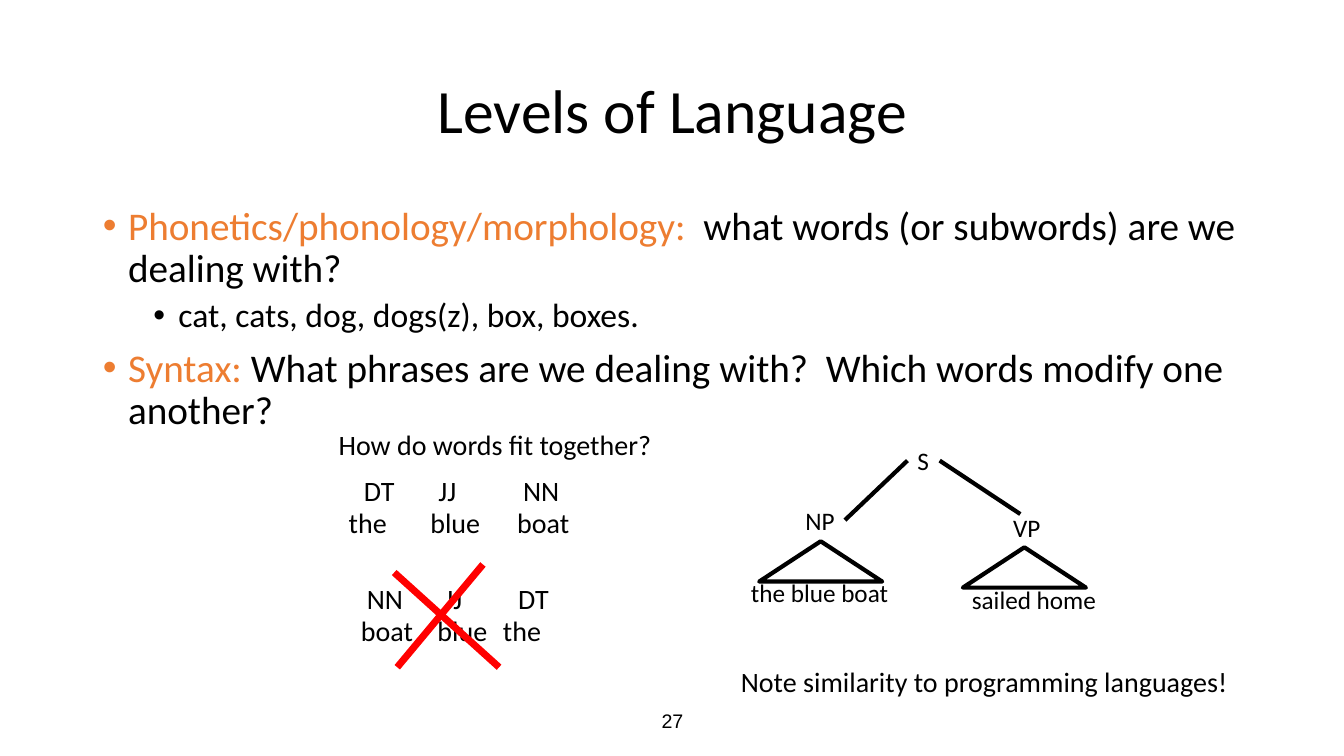
import pptx
import pptx.dml.color
import pptx.enum.shapes
import pptx.enum.text
import pptx.oxml
import pptx.oxml.ns
import pptx.util
from pptx.util import Inches

BLACK, ORANGE, RED = "000000", "ED7D31", "FF0000"
ALIGN = pptx.enum.text.PP_ALIGN
ANCHOR = pptx.enum.text.MSO_ANCHOR
AUTO_SIZE = pptx.enum.text.MSO_AUTO_SIZE


def colour(hex_string):
    return pptx.dml.color.RGBColor.from_string(hex_string)


class SlideBuilder:
    font = "Calibri"

    def __init__(self, slide):
        self.slide = slide
        self.shapes = slide.shapes

    def run(self, paragraph, text, size, hex_string=BLACK, font=None):
        run = paragraph.add_run()
        run.text = text
        run.font.name = font or self.font
        run.font.size = pptx.util.Pt(size)
        run.font.color.rgb = colour(hex_string)

    def place(self, shape, left, top, width, height):
        shape.left, shape.top = Inches(left), Inches(top)
        shape.width, shape.height = Inches(width), Inches(height)

    def title(self, text, *box):
        title = self.shapes.title
        self.place(title, *box)
        frame = title.text_frame
        frame.auto_size = AUTO_SIZE.NONE
        frame.vertical_anchor = ANCHOR.MIDDLE
        paragraph = frame.paragraphs[0]
        paragraph.alignment = ALIGN.CENTER
        paragraph.line_spacing = 0.9
        self.run(paragraph, text, 44)

    def bullets(self, items, *box):
        """Fill the body placeholder with (level, [(text, colour), ...]) items."""
        body = self.slide.placeholders[1]
        self.place(body, *box)
        frame = body.text_frame
        frame.auto_size = AUTO_SIZE.NONE
        frame.vertical_anchor = ANCHOR.TOP
        for index, (level, parts) in enumerate(items):
            paragraph = frame.add_paragraph() if index else frame.paragraphs[0]
            properties = paragraph._p.get_or_add_pPr()
            properties.set("marL", str(Inches(0.25 + 0.5 * level)))
            properties.set("indent", str(Inches(-0.25)))
            for tag, key, value in (("a:buFont", "typeface", "Arial"), ("a:buChar", "char", "•")):
                bullet = pptx.oxml.parse_xml(f"<{tag} {pptx.oxml.ns.nsdecls('a')}/>")
                bullet.set(key, value)
                properties.append(bullet)
            paragraph.level = level
            paragraph.alignment = ALIGN.LEFT
            paragraph.line_spacing = 0.9
            paragraph.space_before = pptx.util.Pt((5 if level else 10) if index else 0)
            for text, hex_string in parts:
                self.run(paragraph, text, 24 if level else 28, hex_string)

    def label(self, text, left, top, width, height=0.44, size=20):
        label = self.shapes.add_textbox(*map(Inches, (left, top, width, height)))
        frame = label.text_frame
        frame.word_wrap = False
        frame.auto_size = AUTO_SIZE.SHAPE_TO_FIT_TEXT
        self.run(frame.paragraphs[0], text, size)
        return label

    def page_number(self, text, *box):
        number = self.shapes.add_textbox(*map(Inches, box))
        number.text_frame.word_wrap = True
        number.text_frame.vertical_anchor = ANCHOR.MIDDLE
        paragraph = number.text_frame.paragraphs[0]
        paragraph.alignment = ALIGN.CENTER
        self.run(paragraph, text, 14, font="Arial")

    def line(self, x1, y1, x2, y2, hex_string=BLACK, width=3):
        line = self.shapes.add_connector(
            pptx.enum.shapes.MSO_CONNECTOR.STRAIGHT, *map(Inches, (x1, y1, x2, y2)))
        line.line.color.rgb = colour(hex_string)
        line.line.width = pptx.util.Pt(width)
        line._element.spPr.append(
            pptx.oxml.parse_xml(f"<a:effectLst {pptx.oxml.ns.nsdecls('a')}/>"))
        return line

    def triangle(self, left, top):
        triangle = self.shapes.add_shape(
            pptx.enum.shapes.MSO_SHAPE.ISOSCELES_TRIANGLE,
            *map(Inches, (left, top, 1.22, 0.4)))
        triangle.shadow.inherit = False
        triangle.fill.background()
        triangle.line.color.rgb = colour(BLACK)
        triangle.line.width = pptx.util.Pt(3)

    def tagged_words(self, top, words):
        """Place each part-of-speech tag above its word."""
        for tag, tag_left, tag_width, word, word_left, word_width in words:
            self.label(word, word_left, top + 0.32, word_width)
            self.label(tag, tag_left, top, tag_width)


def main():
    deck = pptx.Presentation()
    deck.slide_width, deck.slide_height = Inches(13.33), Inches(7.5)
    page = SlideBuilder(deck.slides.add_slide(deck.slide_layouts[1]))

    page.page_number("27", 4.42, 6.95, 4.5, 0.4)
    page.title("Levels of Language", 0.92, 0.4, 11.5, 1.45)
    page.bullets([
        (0, [("Phonetics/phonology/morphology:", ORANGE),
             ("  what words (or subwords) are we dealing with?", BLACK)]),
        (1, [("cat, cats, dog, dogs(z), box, boxes.", BLACK)]),
        (0, [("Syntax:", ORANGE),
             (" What phrases are we dealing with?  Which words modify one another?", BLACK)]),
    ], 0.92, 2, 11.5, 4.76)

    page.label("How do words fit together?", 3.26, 4.19, 3.33)
    page.tagged_words(4.65, [
        ("DT", 3.51, 0.51, "the", 3.36, 0.58),
        ("JJ", 4.25, 0.38, "blue", 4.17, 0.7),
        ("NN", 5.09, 0.56, "boat", 5.03, 0.72),
    ])

    page.label("sailed home", 9.54, 5.75, 1.45, 0.4, 18)
    page.label("VP", 9.95, 5.03, 0.48, 0.4, 18)
    page.triangle(9.55, 5.43)
    page.label("the blue boat", 7.35, 5.68, 1.58, 0.4, 18)
    noun_phrase = page.label("NP", 7.89, 4.96, 0.49, 0.4, 18)
    page.triangle(7.53, 5.37)
    sentence = page.label("S", 9, 4.37, 0.32, 0.4, 18)
    noun_branch = page.line(9, 4.57, 8.38, 5.15)
    noun_branch.begin_connect(sentence, 1)
    noun_branch.end_connect(noun_phrase, 3)
    verb_branch = page.line(9.32, 4.57, 10.12, 5.1)
    verb_branch.begin_connect(sentence, 3)
    page.label("Note similarity to programming languages!", 7.25, 6.54, 5.07)

    page.tagged_words(5.72, [
        ("DT", 5.04, 0.51, "the", 4.89, 0.58),
        ("JJ", 4.31, 0.38, "blue", 4.24, 0.7),
        ("NN", 3.54, 0.56, "boat", 3.48, 0.72),
    ])
    page.line(3.91, 5.68, 4.95, 6.62, RED, 5)
    page.line(4.79, 5.6, 3.94, 6.62, RED, 5)

    deck.save("out.pptx")


if __name__ == "__main__":
    main()
